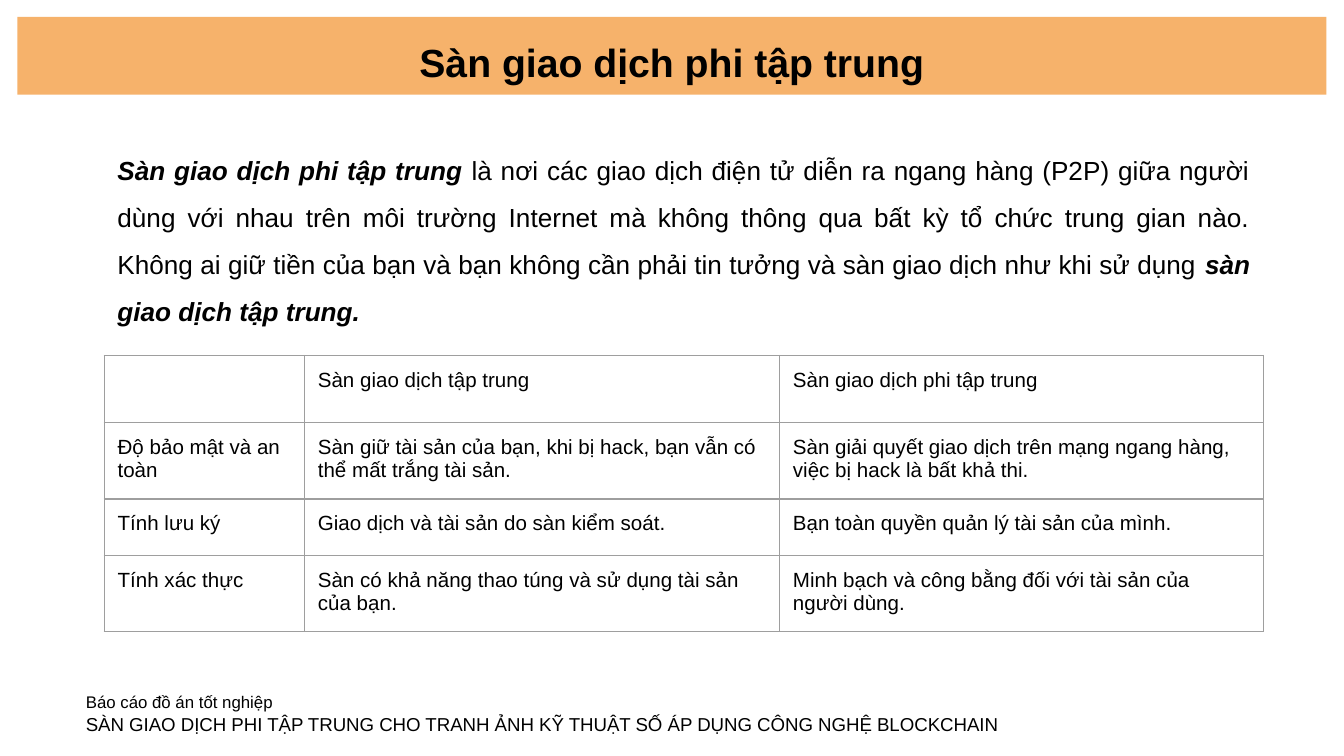
from dataclasses import dataclass

from lxml.etree import SubElement
from pptx import Presentation
from pptx.dml.color import RGBColor
from pptx.enum.shapes import MSO_SHAPE
from pptx.enum.text import PP_ALIGN
from pptx.oxml.ns import qn
from pptx.slide import Slide
from pptx.util import Pt

EMU_PER_PX = 4572
INSET = 20


def px(*lengths):
    """Turn lengths in px (200 to the inch) into EMU."""
    return [length * EMU_PER_PX for length in lengths]


def color(value):
    """Turn a hex string into a colour."""
    return RGBColor.from_string(value)


def write(paragraph, text, font="Arial", size=11, ink="000000", bold=False, italic=False):
    """Add a formatted run to a paragraph."""
    run = paragraph.add_run()
    run.text = text
    run.font.name = font
    run.font.size = Pt(size)
    run.font.color.rgb = color(ink)
    run.font.bold = bold
    run.font.italic = italic


@dataclass
class Page:
    """Hold the style and the current slide."""

    slide: Slide
    banner: str = "F6B26B"
    border: str = "9E9E9E"

    def bar(self, left, top, width, height):
        """Draw a plain filled rectangle."""
        bar = self.slide.shapes.add_shape(MSO_SHAPE.RECTANGLE, *px(left, top, width, height))
        bar.shadow.inherit = False
        bar.fill.solid()
        bar.fill.fore_color.rgb = color(self.banner)
        bar.line.fill.background()

    def text(self, left, top, width, height, paragraphs, align=PP_ALIGN.LEFT, spacing=1.0):
        """Add a text box of paragraphs, each a list of (text, format) runs."""
        frame = self.slide.shapes.add_textbox(*px(left, top, width, height)).text_frame
        frame.word_wrap = True
        self.inset(frame)
        for index, runs in enumerate(paragraphs):
            paragraph = frame.add_paragraph() if index else frame.paragraphs[0]
            paragraph.alignment = align
            paragraph.line_spacing = spacing
            for words, style in runs:
                write(paragraph, words, **style)

    def inset(self, holder):
        """Give a text frame or table cell even margins."""
        for side in ("left", "top", "right", "bottom"):
            setattr(holder, f"margin_{side}", px(INSET)[0])

    def outline(self, cell):
        """Draw the four borders of a table cell."""
        properties = cell._tc.get_or_add_tcPr()
        for index, side in enumerate(("lnL", "lnR", "lnT", "lnB")):
            line = SubElement(properties, qn(f"a:{side}"), w=str(Pt(0.75)))
            properties.remove(line)
            properties.insert(index, line)
            fill = SubElement(line, qn("a:solidFill"))
            SubElement(fill, qn("a:srgbClr"), val=self.border)

    def table(self, left, top, widths, heights, rows):
        """Add an unfilled table with thin borders."""
        table = self.slide.shapes.add_table(
            len(heights), len(widths), *px(left, top, sum(widths), sum(heights))).table
        table.first_row = table.horz_banding = False
        for column, width in zip(table.columns, px(*widths)):
            column.width = width
        for row, height, texts in zip(table.rows, px(*heights), rows):
            row.height = height
            for cell, words in zip(row.cells, texts):
                self.inset(cell)
                cell.fill.background()
                self.outline(cell)
                if words:
                    write(cell.text_frame.paragraphs[0], words)


def main():
    """Build the slide and save it."""
    deck = Presentation()
    deck.slide_width, deck.slide_height = px(2000, 1125)
    page = Page(deck.slides.add_slide(deck.slide_layouts[6]))

    page.bar(26, 25, 1948, 116)
    page.text(108, 1010, 1490, 104, [
        [("Báo cáo đồ án tốt nghiệp", {"size": 9})],
        [("SÀN GIAO DỊCH PHI TẬP TRUNG CHO TRANH ẢNH KỸ THUẬT SỐ ÁP DỤNG CÔNG NGHỆ BLOCKCHAIN",
          {"size": 10})],
    ])
    page.text(26, 26, 1948, 116, [
        [("Sàn giao dịch phi tập trung", {"size": 21, "bold": True})],
    ], align=PP_ALIGN.CENTER, spacing=1.15)

    body = {"size": 14}
    term = {"size": 14, "bold": True, "italic": True}
    page.text(155, 186, 1725, 300, [[
        ("Sàn giao dịch phi tập trung", term),
        (" là nơi các giao dịch điện tử diễn ra ngang hàng (P2P) giữa người dùng với nhau "
         "trên môi trường Internet mà không thông qua bất kỳ tổ chức trung gian nào. "
         "Không ai giữ tiền của bạn và bạn không cần phải tin tưởng và sàn giao dịch "
         "như khi sử dụng ", body),
        ("sàn giao dịch tập trung.", term),
    ]], align=PP_ALIGN.JUSTIFY, spacing=1.5)

    comparison = [
        ("", "Sàn giao dịch tập trung", "Sàn giao dịch phi tập trung"),
        ("Độ bảo mật và an toàn",
         "Sàn giữ tài sản của bạn, khi bị hack, bạn vẫn có thể mất trắng tài sản.",
         "Sàn giải quyết giao dịch trên mạng ngang hàng, việc bị hack là bất khả thi."),
        ("Tính lưu ký",
         "Giao dịch và tài sản do sàn kiểm soát.",
         "Bạn toàn quyền quản lý tài sản của mình."),
        ("Tính xác thực",
         "Sàn có khả năng thao túng và sử dụng tài sản của bạn.",
         "Minh bạch và công bằng đối với tài sản của người dùng."),
    ]
    page.table(155, 529, (298, 707, 720), (72, 84, 84, 84), comparison)
    deck.save("out.pptx")


if __name__ == "__main__":
    main()
